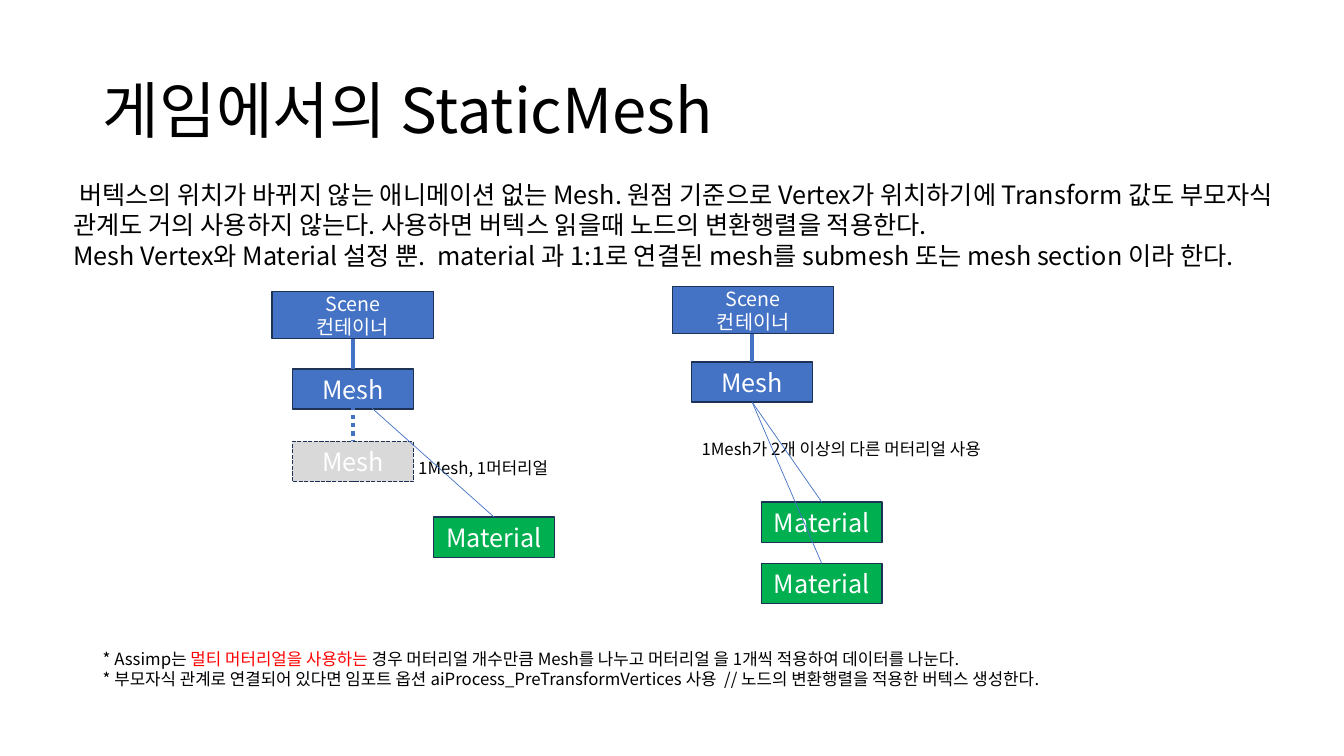
from pptx import Presentation
from pptx.dml.color import RGBColor
from pptx.enum import dml, shapes, text
from pptx.oxml.ns import qn
from pptx.util import Inches, Pt

FONT = "Noto Sans CJK KR"
BLUE, GREEN, GREY = "4472C4", "00B050", "D9D9D9"
OUTLINE, BLACK, WHITE, RED = "1E3256", "000000", "FFFFFF", "FF0000"
DASH, DOT = dml.MSO_LINE.SQUARE_DOT, dml.MSO_LINE.ROUND_DOT
MESH_SIZE, SCENE_SIZE = (1.2, 0.4), (1.6, 0.47)


def rgb(value):
    return RGBColor.from_string(value)


def write(frame, paragraphs, size, color, align=None):
    """Fill a frame; each paragraph is a string or a list of (words, colour)."""
    frame.word_wrap = True
    for number, content in enumerate(paragraphs):
        paragraph = frame.add_paragraph() if number else frame.paragraphs[0]
        paragraph.alignment = align
        pieces = [(content, color)] if isinstance(content, str) else content
        for words, piece_color in pieces:
            run = paragraph.add_run()
            run.text = words
            run.font.size = Pt(size)
            run.font.name = FONT
            run.font.color.rgb = rgb(piece_color)
            east_asian = run.font._element.makeelement(qn("a:ea"), {"typeface": FONT})
            run.font._element.append(east_asian)


prs = Presentation()
prs.slide_width, prs.slide_height = Inches(13.33), Inches(7.5)
slide = prs.slides.add_slide(prs.slide_layouts[6])

# Title, explanation, diagram captions and footnotes
texts = [
    ((0.92, 0.4, 11.5, 1.45), 44, ["게임에서의 StaticMesh"]),
    ((0.63, 1.73, 12.55, 1.01), 18, [
        " 버텍스의 위치가 바뀌지 않는 애니메이션 없는 Mesh. 원점 기준으로 Vertex가 위치하기에 "
        "Transform 값도 부모자식 관계도 거의 사용하지 않는다. 사용하면 버텍스 읽을때 노드의 "
        "변환행렬을 적용한다.",
        "Mesh Vertex와 Material 설정 뿐.  material 과 1:1로 연결된 mesh를 submesh 또는 "
        "mesh section 이라 한다."]),
    ((6.86, 4.3, 3.29, 0.3), 12, ["1Mesh가 2개 이상의 다른 머터리얼 사용"]),
    ((4.05, 4.49, 1.57, 0.3), 12, ["1Mesh, 1머터리얼"]),
    ((0.92, 6.39, 12.55, 0.5), 12, [
        [("* Assimp는 ", BLACK), ("멀티 머터리얼을 사용하는", RED),
         (" 경우 머터리얼 개수만큼 Mesh를 나누고 머터리얼 을 1개씩 적용하여 데이터를 나눈다.", BLACK)],
        "* 부모자식 관계로 연결되어 있다면 임포트 옵션 aiProcess_PreTransformVertices 사용  "
        "// 노드의 변환행렬을 적용한 버텍스 생성한다."]),
]
for place, size, paragraphs in texts:
    frame = slide.shapes.add_textbox(*map(Inches, place)).text_frame
    write(frame, paragraphs, size, BLACK)
    if size == 44:
        frame.vertical_anchor = text.MSO_ANCHOR.MIDDLE
        frame.paragraphs[0].line_spacing = 0.9

# Scene, mesh and material nodes
nodes = [
    (6.67, 2.84, SCENE_SIZE, ["Scene", "컨테이너"], 14, BLUE, None),
    (6.86, 3.59, MESH_SIZE, ["Mesh"], 18, BLUE, None),
    (7.55, 5.59, MESH_SIZE, ["Material"], 18, GREEN, None),
    (7.55, 4.98, MESH_SIZE, ["Material"], 18, GREEN, None),
    (2.7, 2.89, SCENE_SIZE, ["Scene", "컨테이너"], 14, BLUE, None),
    (2.9, 3.66, MESH_SIZE, ["Mesh"], 18, BLUE, None),
    (4.3, 5.13, MESH_SIZE, ["Material"], 18, GREEN, None),
    (2.9, 4.38, MESH_SIZE, ["Mesh"], 18, GREY, DASH),
]
for left, top, (width, height), labels, size, fill, dash in nodes:
    node = slide.shapes.add_shape(shapes.MSO_SHAPE.RECTANGLE, Inches(left), Inches(top),
                                  Inches(width), Inches(height))
    node.shadow.inherit = False
    node.fill.solid()
    node.fill.fore_color.rgb = rgb(fill)
    node.line.color.rgb = rgb(OUTLINE)
    node.line.width = Pt(1)
    if dash:
        node.line.dash_style = dash
    node.text_frame.vertical_anchor = text.MSO_ANCHOR.MIDDLE
    write(node.text_frame, labels, size, WHITE, text.PP_ALIGN.CENTER)

# Thick links join scene and meshes, thin ones lead to materials
links = [
    (7.46, 3.31, 7.46, 3.59, 3, None),
    (7.46, 3.99, 8.15, 4.98, 0.5, None),
    (7.46, 3.99, 8.15, 5.59, 0.5, None),
    (3.5, 3.36, 3.5, 3.66, 3, None),
    (3.5, 3.88, 4.9, 5.13, 0.5, None),
    (3.5, 4.03, 3.5, 4.38, 3, DOT),
]
for *ends, weight, dash in links:
    link = slide.shapes.add_connector(shapes.MSO_CONNECTOR.STRAIGHT, *map(Inches, ends))
    link.line.color.rgb = rgb(BLUE)
    link.line.width = Pt(weight)
    if dash:
        link.line.dash_style = dash
    properties = link._element.spPr
    properties.append(properties.makeelement(qn("a:effectLst"), {}))

prs.save("out.pptx")
